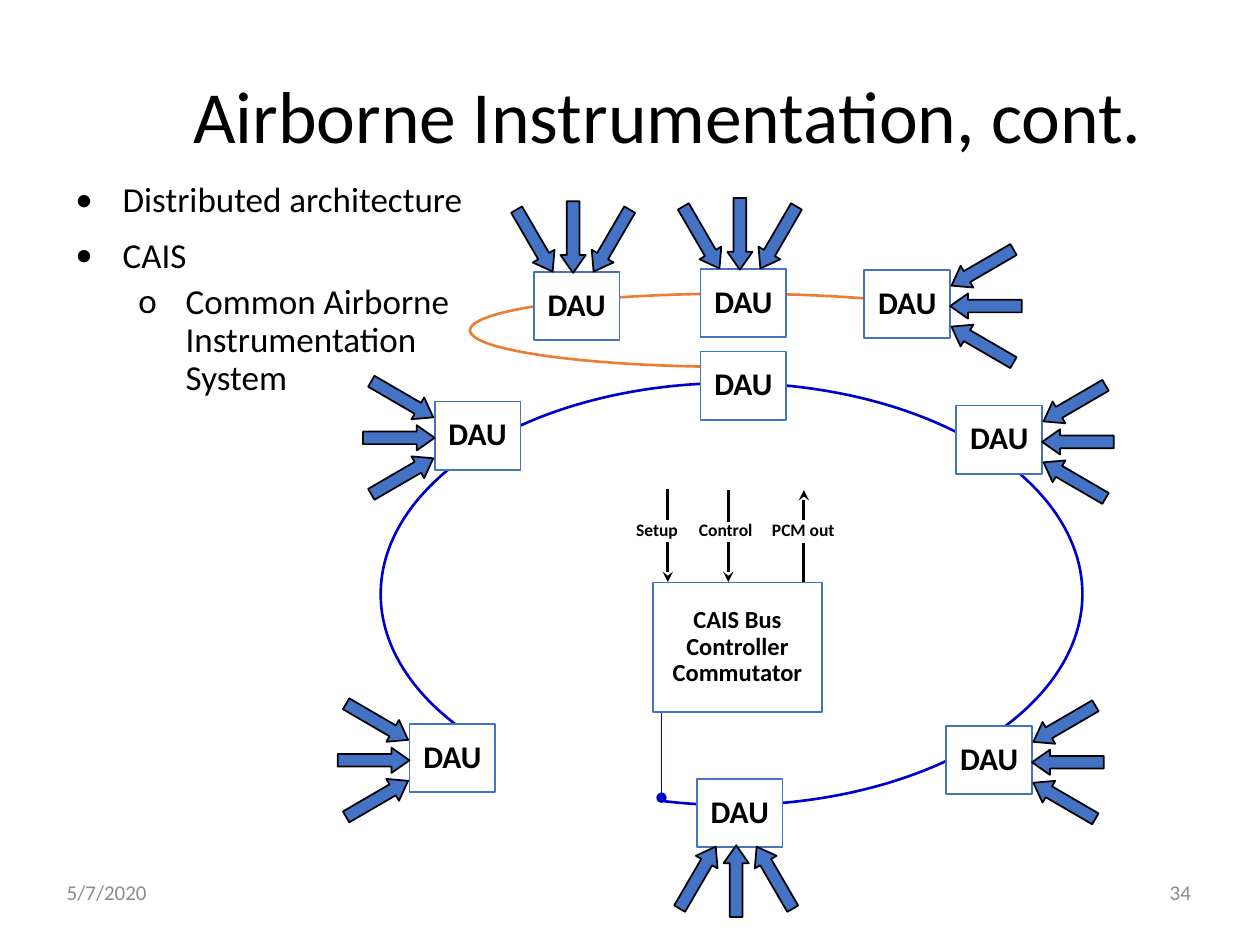
from math import cos, radians, sin

from lxml.etree import SubElement
from pptx import Presentation
from pptx.dml.color import RGBColor
from pptx.enum.shapes import MSO_CONNECTOR, MSO_SHAPE
from pptx.enum.text import MSO_ANCHOR, MSO_AUTO_SIZE, PP_ALIGN
from pptx.oxml.ns import qn
from pptx.util import Pt

hue = RGBColor.from_string
BLACK, WHITE, BLUE, NAVY, ORANGE, GRAY = (
    "000000", "FFFFFF", "4472C4", "0000CC", "ED7D31", "8C8C8C")


def style(shape, fill, line, width):
    shape.shadow.inherit = False
    if fill:
        shape.fill.solid()
        shape.fill.fore_color.rgb = hue(fill)
    else:
        shape.fill.background()
    shape.line.color.rgb = hue(line)
    shape.line.width = Pt(width)


def write(shape, text, size, color=BLACK, bold=False, align=PP_ALIGN.CENTER,
          space=0.9, **frame):
    """Fill a shape with one formatted paragraph; frame holds text frame values."""
    box = shape.text_frame
    values = {"vertical_anchor": MSO_ANCHOR.MIDDLE, "word_wrap": True, **frame}
    for name, value in values.items():
        setattr(box, name, value)
    para = box.paragraphs[0]
    para.text = text
    para.alignment, para.line_spacing = align, space
    for name, value in {"name": "Calibri", "size": Pt(size), "bold": bold}.items():
        setattr(para.font, name, value)
    para.font.color.rgb = hue(color)


deck = Presentation()
deck.slide_width, deck.slide_height = Pt(720), Pt(540)
slide = deck.slides.add_slide(deck.slide_layouts[5])
shapes = slide.shapes

# Title and footer
title = shapes.title
title.left, title.top, title.width, title.height = Pt(75.6), Pt(29.5), Pt(612), Pt(63.4)
write(title, "Airborne Instrumentation, cont.", 42, space=0.7,
      vertical_anchor=MSO_ANCHOR.BOTTOM, auto_size=MSO_AUTO_SIZE.NONE)
for text, left, align in (("5/7/2020", 31, PP_ALIGN.LEFT), ("34", 525.6, PP_ALIGN.RIGHT)):
    foot = shapes.add_textbox(Pt(left), Pt(495.4), Pt(162), Pt(28.8))
    write(foot, text, 12, GRAY, align=align, space=1)

# Bullets
body = shapes.add_textbox(Pt(36), Pt(100.8), Pt(612), Pt(324)).text_frame
body.word_wrap = True
items = (
    ("Distributed architecture", 0, 27, 0, "•"),
    ("CAIS", 0, 27, 10, "•"),
    ("Common Airborne\vInstrumentation\vSystem", 1, 63, 5, "o"),
)
for i, (text, level, indent, before, mark) in enumerate(items):
    para = body.add_paragraph() if i else body.paragraphs[0]
    para.text = text
    para.level, para.line_spacing, para.space_before = level, 0.9, Pt(before)
    props = para._p.get_or_add_pPr()
    props.set("marL", str(Pt(indent)))
    props.set("indent", str(Pt(-27)))
    SubElement(props, qn("a:buFont")).set("typeface", "Calibri")
    SubElement(props, qn("a:buChar")).set("char", mark)
    para.font.name, para.font.size = "Calibri", Pt(20)
    para.font.color.rgb = hue(BLACK)

# Bus rings: box, start and end angle in degrees
rings = (
    (217.6, 218.9, 401, 241.2, 154.9, 109.5, NAVY),
    (268.6, 167.8, 302.4, 41.8, 90, 348.4, ORANGE),
)
for left, top, width, height, start, end, color in rings:
    ring = shapes.add_shape(MSO_SHAPE.ARC, Pt(left), Pt(top), Pt(width), Pt(height))
    ring.adjustments[0], ring.adjustments[1] = start * 0.6, end * 0.6
    style(ring, None, color, 1.5)

# Bus controller
hub = shapes.add_shape(MSO_SHAPE.RECTANGLE, Pt(373.2), Pt(332.9), Pt(96.5), Pt(74))
style(hub, None, BLUE, 1)
write(hub, "CAIS Bus Controller Commutator", 14, bold=True,
      margin_left=0, margin_right=0, margin_top=0, margin_bottom=0)

# Bus drop and controller signals: x, y from, y to, colour, width, end
lines = (
    (378, 407.5, 455.8, NAVY, 1, "oval"),
    (381.6, 279.4, 297.4, BLACK, 1.75, None),
    (381.6, 309.6, 332.6, BLACK, 1.75, "stealth"),
    (416.2, 280.1, 298.1, BLACK, 1.75, None),
    (416.2, 309.6, 332.6, BLACK, 1.75, "stealth"),
    (459.4, 332.6, 310.3, BLACK, 1.75, None),
    (459.4, 297.4, 280.1, BLACK, 1.75, "stealth"),
)
for x, start, end, color, width, tip in lines:
    wire = shapes.add_connector(MSO_CONNECTOR.STRAIGHT, Pt(x), Pt(start), Pt(x), Pt(end))
    wire.line.color.rgb, wire.line.width = hue(color), Pt(width)
    if tip:
        SubElement(wire.line._get_or_add_ln(), qn("a:tailEnd")).set("type", tip)
    SubElement(wire._element.spPr, qn("a:effectLst"))
for text, left, width in (("Setup", 354.2, 42.5), ("Control", 389.5, 50.4),
                          ("PCM out", 431.3, 55.4)):
    label = shapes.add_textbox(Pt(left), Pt(294.5), Pt(width), Pt(18))
    write(label, text, 10, bold=True, word_wrap=False,
          auto_size=MSO_AUTO_SIZE.SHAPE_TO_FIT_TEXT)

# Acquisition units: left, top and heading of the arrows that feed them
units = (
    (234, 413.8, 0), (248.4, 229.5, 0),
    (540.7, 414.9, 180), (546.5, 231.8, 180), (493.9, 154.2, 180),
    (400.3, 153.7, 90), (305, 155.5, 90),
    (398.2, 445, 270), (400.3, 200.9, None),
)
middle = {0: (-45, 1.2), 180: (45, 1.2), 90: (-2, -39.5), 270: (-2, 39)}
wide, high = 49, 39
long, thick = 41, 14.4
for left, top, head in units:
    unit = shapes.add_shape(MSO_SHAPE.RECTANGLE, Pt(left), Pt(top), Pt(wide), Pt(high))
    style(unit, WHITE, BLUE, 1)
    write(unit, "DAU", 18, bold=True, word_wrap=False)
    if head is None:
        continue
    dx, dy = middle[head]
    ux, uy = cos(radians(head)), sin(radians(head))
    for side in (0, -1, 1):
        x = left + wide / 2 + dx + 2 * abs(side) * ux + 22 * side * uy
        y = top + high / 2 + dy + 2 * abs(side) * uy - 22 * side * ux
        arrow = shapes.add_shape(MSO_SHAPE.RIGHT_ARROW, Pt(x - long / 2),
                                 Pt(y - thick / 2), Pt(long), Pt(thick))
        arrow.rotation = head + 30.2 * side
        arrow.adjustments[0], arrow.adjustments[1] = 0.5, 0.71
        style(arrow, BLUE, BLACK, 1)

deck.save("out.pptx")
